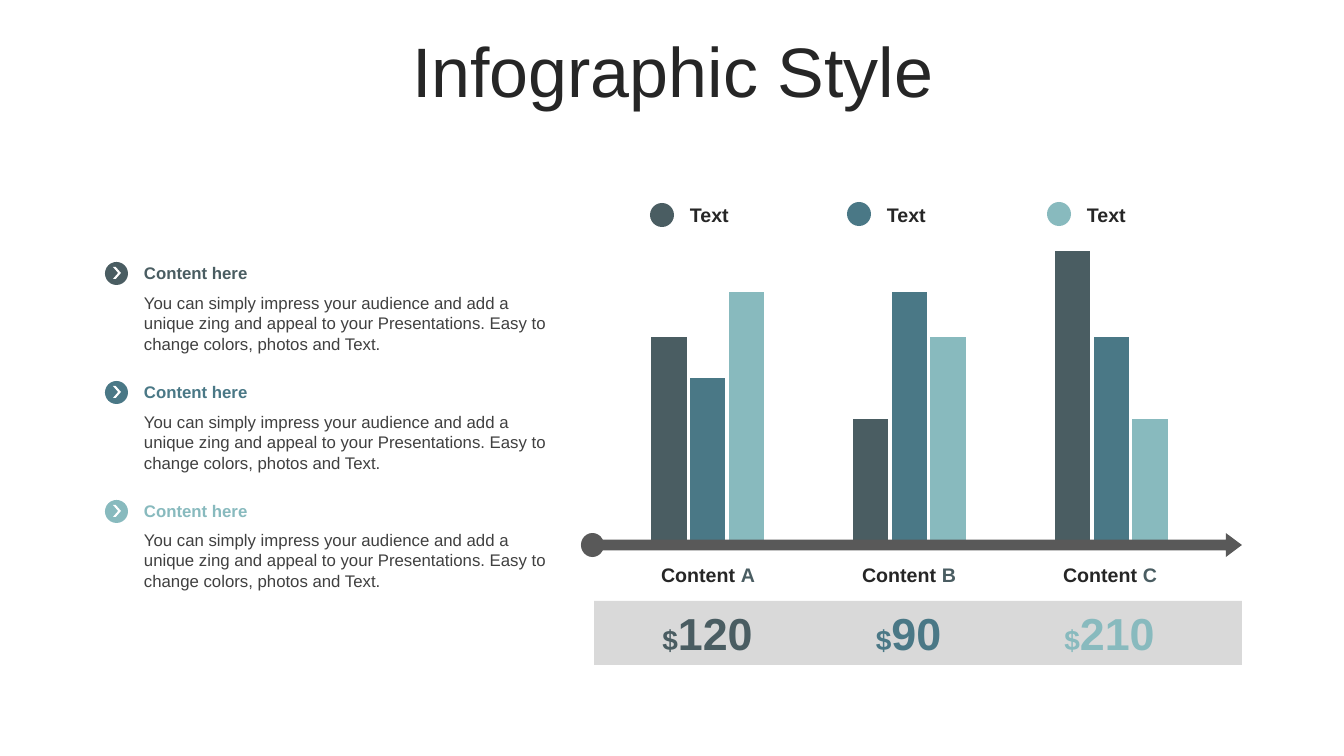
"""Build the infographic slide with a clustered bar chart, prices and a bullet list."""
from pptx import Presentation
from pptx.chart.data import CategoryChartData as Data
from pptx.dml.color import RGBColor as RGB
from pptx.enum.chart import XL_CHART_TYPE as Kind
from pptx.enum.shapes import MSO_SHAPE as Form
from pptx.enum.text import MSO_ANCHOR as Anchor, PP_ALIGN as Align
from pptx.util import Emu, Pt

SCALE = 12192000 / 1344
FONT = "Arial"
HUES = {
    "slate": "4A5D62", "blue": "4A7886", "aqua": "88BABE", "ink": "262626",
    "body": "404040", "axis": "595959", "band": "D9D9D9", "white": "FFFFFF",
}
TRIO = ("slate", "blue", "aqua")
STORY = ("You can simply impress your audience and add a unique zing and appeal "
         "to your Presentations. Easy to change colors, photos and Text.")

deck = Presentation()
deck.slide_width, deck.slide_height = Emu(12192000), Emu(6858000)
slide = deck.slides.add_slide(deck.slide_layouts[6])
shapes = slide.shapes


def draw(form, box, hue, *ratios):
    shape = shapes.add_shape(form, *(Emu(round(v * SCALE)) for v in box))
    shape.shadow.inherit = False
    shape.fill.solid()
    shape.fill.fore_color.rgb = RGB.from_string(HUES[hue])
    shape.line.fill.background()
    for i, ratio in enumerate(ratios):
        shape.adjustments[i] = ratio


def write(box, parts, bold=True, mid=False, top=False):
    frame = shapes.add_textbox(*(Emu(round(v * SCALE)) for v in box)).text_frame
    frame.word_wrap = not mid
    frame.vertical_anchor = Anchor.TOP if top else Anchor.MIDDLE
    para = frame.paragraphs[0]
    para.alignment = Align.CENTER if mid else Align.LEFT
    for text, size, hue in parts:
        run = para.add_run()
        run.text = text
        run.font.name, run.font.size, run.font.bold = FONT, Pt(size), bold
        run.font.color.rgb = RGB.from_string(HUES[hue])
    return para


title = write((35, 37, 1276, 80), [("Infographic Style", 50, "ink")], bold=False, mid=True)
title.line_spacing = 0.8

data = Data()
data.categories = ["1", "2", "3"]
for i, vals in enumerate([(71, 43, 100), (57, 86, 71), (86, 71, 43)], 1):
    data.add_series(f"Series {i}", vals)
area = (Emu(round(v * SCALE)) for v in (594, 203, 631, 350))
chart = shapes.add_chart(Kind.COLUMN_CLUSTERED, *area, data).chart
chart.has_legend = chart.has_title = False
chart.font.name, chart.font.size = FONT, Pt(10)
chart.font.color.rgb = RGB.from_string("000000")
chart.category_axis.visible = chart.value_axis.visible = False
chart.value_axis.has_major_gridlines = False
chart.value_axis.minimum_scale, chart.value_axis.maximum_scale = 0, 114
plot = chart.plots[0]
plot.gap_width, plot.overlap, plot.vary_by_categories = 250, -9, False
for series, hue in zip(plot.series, TRIO):
    series.format.fill.solid()
    series.format.fill.fore_color.rgb = RGB.from_string(HUES[hue])

draw(Form.RIGHT_ARROW, (596, 533, 646, 24), "axis", 0.45, 0.67)
draw(Form.OVAL, (581, 533, 23, 24), "axis")
draw(Form.RECTANGLE, (594, 601, 648, 64), "band")

groups = zip(TRIO, "ABC", ("120", "90", "210"), ((650, 203), (847, 202), (1047, 202)))
for i, (hue, name, price, (left, top)) in enumerate(groups):
    shift = 201 * i
    write((651 + shift, 558, 114, 34), [("Content ", 14, "ink"), (name, 14, "slate")], mid=True)
    write((626 + shift, 601, 163, 64), [("$", 20, hue), (price, 32, hue)], mid=True)
    draw(Form.OVAL, (left, top, 24, 24), hue)
    write((left + 30, 198, 95, 34), [("Text", 14, "ink")])

for i, (hue, top) in enumerate(zip(TRIO, (288, 407, 525))):
    shift = 119 * i
    draw(Form.OVAL, (105, 262 + shift, 23, 23), hue)
    draw(Form.CHEVRON, (113, 267 + shift, 8, 12), "white", 0.65)
    write((134, 258 + shift, 428, 30), [("Content here", 12, hue)])
    write((134, top, 428, 72), [(STORY, 12, "body")], bold=False, top=True)

deck.save("out.pptx")
